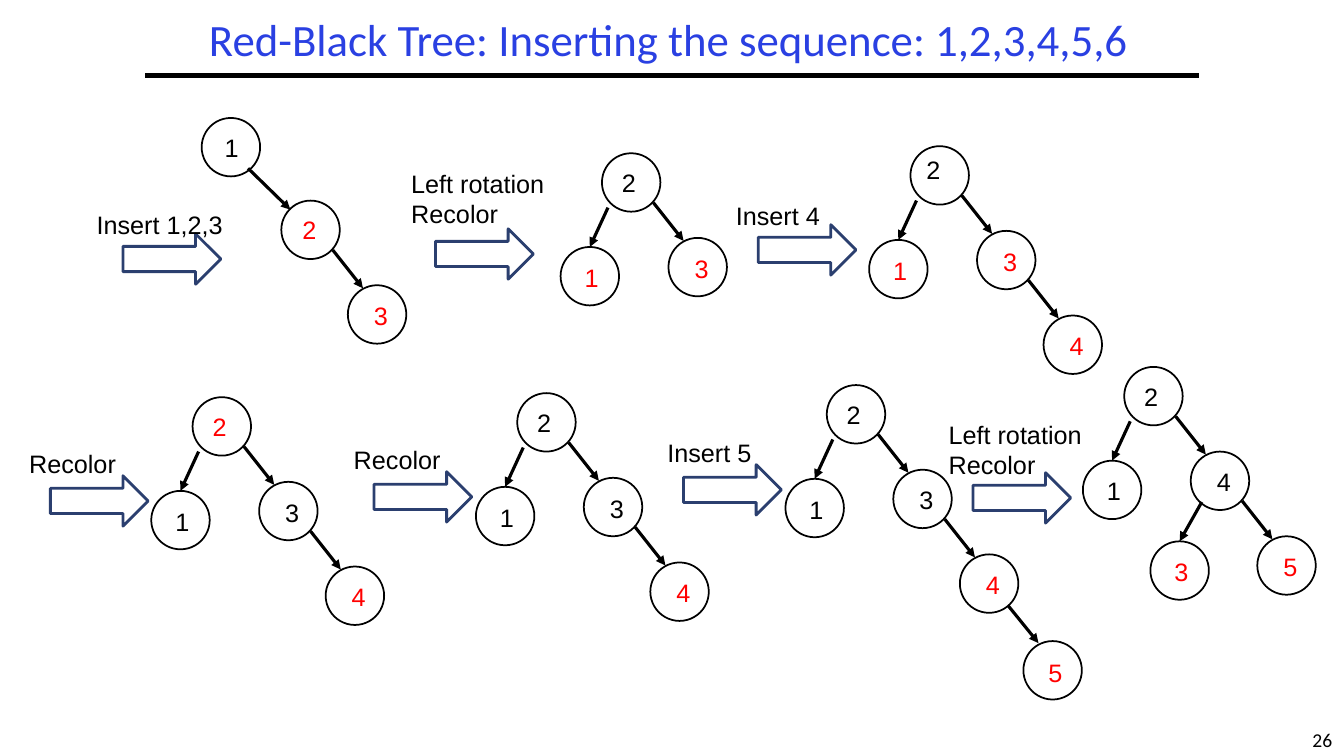
"""Slide showing how a red-black tree grows as 1 to 6 are inserted."""
from lxml.etree import SubElement
from pptx import Presentation
from pptx.dml.color import RGBColor
from pptx.enum.shapes import MSO_CONNECTOR, MSO_SHAPE
from pptx.enum.text import MSO_ANCHOR, PP_ALIGN
from pptx.oxml.ns import qn
from pptx.util import Inches, Pt

BLACK, RED, BLUE, NAVY, WHITE = "000000", "FF0000", "2A40E2", "2B3F6F", "FFFFFF"
NODE = 58

prs = Presentation()
prs.slide_width, prs.slide_height = Inches(13.33), Inches(7.5)
cell = prs.slide_width // 1333
s = prs.slides.add_slide(prs.slide_layouts[6])


def add_text(box, text, color=BLACK, size=18, font="Arial", wrap=True, align=None):
    """Add a text box; box is left, top, width and height in grid cells."""
    sp = s.shapes.add_textbox(*[v * cell for v in box])
    tf = sp.text_frame
    tf.word_wrap = wrap
    tf.text = text
    for p in tf.paragraphs:
        p.alignment = align
        for r in p.runs:
            r.font.name, r.font.size = font, Pt(size)
            r.font.color.rgb = RGBColor.from_string(color)
    return sp


def add_outlined(kind, box, line, width):
    """Add a white preset shape with a coloured outline."""
    sp = s.shapes.add_shape(kind, *[v * cell for v in box])
    sp.shadow.inherit = False
    sp.fill.solid()
    sp.fill.fore_color.rgb = RGBColor.from_string(WHITE)
    sp.line.color.rgb = RGBColor.from_string(line)
    sp.line.width = Pt(width)
    return sp


title = add_text((45, -14, 1237, 111), "Red-Black Tree: Inserting the sequence: 1,2,3,4,5,6",
                 BLUE, 32, "Calibri", align=PP_ALIGN.CENTER)
title.text_frame.vertical_anchor = MSO_ANCHOR.MIDDLE
title.text_frame.paragraphs[0].line_spacing = 0.9
add_text((1290, 717, 43, 33), "26", size=14, font="Calibri", wrap=False, align=PP_ALIGN.CENTER)

# each link: step to the child, line start on the parent, line end on the child, key offset
links = {
    "right": ((66, 84), (51, 49), (15, 3), (16, 10)),
    "wide": ((79, 82), (46, 50), (9, 9), (11, 9)),
    "low": ((63, 86), (48, 51), (15, 2), (15, 11)),
    "left": ((-41, 93), (10, 54), (29, 0), (14, 10)),
    "inner": ((-40, 89), (11, 50), (29, 0), (14, 10)),
}

# each tree: root corner, root key offset, root key and colour, then (key, colour, parent, link)
trees = [
    (200, 117, 13, 9, "1", BLACK, [("2", RED, "1", "wide"), ("3", RED, "2", "right")]),
    (597, 152, 10, 9, "2", BLACK, [("1", RED, "2", "left"), ("3", RED, "2", "right")]),
    (903, 145, 6, 3, "2", BLACK, [("1", RED, "2", "left"), ("3", RED, "2", "right"),
                                  ("4", RED, "3", "right")]),
    (191, 394, 10, 9, "2", RED, [("1", BLACK, "2", "left"), ("3", BLACK, "2", "right"),
                                 ("4", RED, "3", "right")]),
    (513, 390, 10, 9, "2", BLACK, [("1", BLACK, "2", "left"), ("3", BLACK, "2", "right"),
                                   ("4", RED, "3", "right")]),
    (820, 382, 10, 9, "2", BLACK, [("1", BLACK, "2", "left"), ("3", BLACK, "2", "right"),
                                   ("4", RED, "3", "right"), ("5", RED, "4", "low")]),
    (1115, 364, 10, 9, "2", BLACK, [("1", BLACK, "2", "left"), ("4", BLACK, "2", "right"),
                                    ("3", RED, "4", "inner"), ("5", RED, "4", "right")]),
]

lines = [(144, 75, 1189, 75, 3, None, False)]
for x, y, key_x, key_y, root, root_color, children in trees:
    nodes = [(root, root_color, x, y, key_x, key_y, None)]
    corners = {root: (x, y)}
    for key, color, parent, link in children:
        step, start, end, offset = links[link]
        px, py = corners[parent]
        cx, cy = corners[key] = px + step[0], py + step[1]
        ends = (px + start[0], py + start[1], cx + end[0], cy + end[1])
        if link == "left":
            ends = (px + 6, py + 54, cx + 29, cy)
        nodes.append((key, color, cx, cy, *offset, (ends, link in ("left", "inner"))))
    for key, color, nx, ny, dx, dy, edge in nodes:
        circle = add_outlined(MSO_SHAPE.OVAL, (nx, ny, NODE, NODE), BLACK, 1.25)
        add_text((nx + dx, ny + dy, 34, 40), key, color, wrap=False)
        if edge:
            lines.append((*edge[0], 2.25, circle, edge[1]))

for x1, y1, x2, y2, width, child, joins_top in lines:
    line = s.shapes.add_connector(MSO_CONNECTOR.STRAIGHT, *[v * cell for v in (x1, y1, x2, y2)])
    line.line.color.rgb = RGBColor.from_string(BLACK)
    line.line.width = Pt(width)
    if child:
        SubElement(line.line._get_or_add_ln(), qn("a:tailEnd"), type="triangle")
    if joins_top:
        line.end_connect(child, 0)
    SubElement(line._element.spPr, qn("a:effectLst"))

# each step: text, label left, top and width, arrow left and top
steps = [
    ("Insert 1,2,3", 86, 203, 159, 122, 232),
    ("Left rotation\nRecolor", 398, 162, 159, 432, 227),
    ("Insert 4", 720, 194, 159, 752, 223),
    ("Recolor", 19, 440, 162, 50, 472),
    ("Recolor", 341, 436, 162, 371, 468),
    ("Insert 5", 652, 429, 105, 678, 461),
    ("Left rotation\nRecolor", 931, 411, 162, 965, 469),
]
for text, x, y, width, arrow_x, arrow_y in steps:
    add_outlined(MSO_SHAPE.RIGHT_ARROW, (arrow_x, arrow_y, 97, 50), NAVY, 2)
    add_text((x, y, width, 40 + 31 * text.count("\n")), text)

prs.save("out.pptx")
